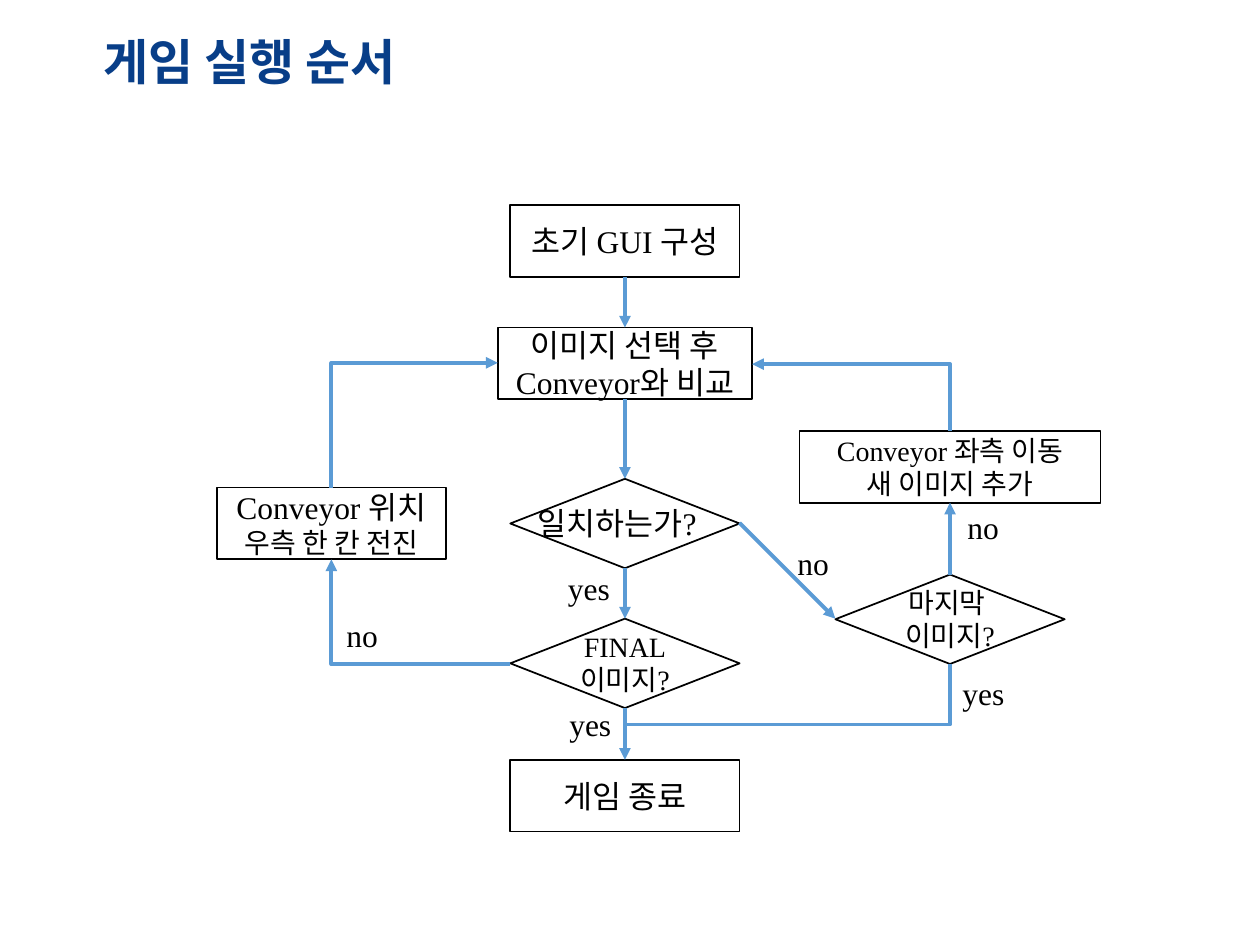
from pptx import Presentation
from pptx.dml.color import RGBColor
from pptx.enum.shapes import MSO_CONNECTOR, MSO_SHAPE
from pptx.enum.text import MSO_ANCHOR, MSO_AUTO_SIZE, PP_ALIGN
from pptx.oxml.ns import qn
from pptx.util import Inches, Pt
from lxml.etree import SubElement

NAVY = RGBColor(0x08, 0x3E, 0x88)
BLUE = RGBColor(0x5B, 0x9B, 0xD5)
BLACK = RGBColor(0, 0, 0)
FACE = "Times New Roman"

WIDE, TALL, DEEP = 1.82, 0.57, 0.71  # node width, box height, diamond height
MID, LEFT, RIGHT = 4.96, 2.63, 7.54  # column centres


class Flow:
    def __init__(self, slide):
        self.slide = slide
        self.shapes = slide.shapes

    def style(self, font, size, **more):
        form = {"name": FACE, "size": Pt(size), **more}
        color = form.pop("color", BLACK)
        for key, value in form.items():
            setattr(font, key, value)
        font.color.rgb = color

    def fill_text(self, frame, lines, align):
        """Fill one paragraph with (text, size) lines parted by line breaks."""
        para = frame.paragraphs[0]
        para.alignment = align
        for i, (text, size) in enumerate(lines):
            if i:
                para.add_line_break()
            run = para.add_run()
            run.text = text
            self.style(run.font, size)

    def title(self, text):
        head = self.shapes.title
        place = {"left": 0.72, "top": 0.1, "width": 8.47, "height": 0.83}
        for key, value in place.items():
            setattr(head, key, Inches(value))
        frame = head.text_frame
        frame.vertical_anchor = MSO_ANCHOR.MIDDLE
        frame.text = text
        para = frame.paragraphs[0]
        para.alignment = PP_ALIGN.LEFT
        para.line_spacing = 0.9
        self.style(para.runs[0].font, 28, bold=True, color=NAVY)

    def node(self, home, kind, mid, top, wide, tall):
        shape = home.add_shape(kind, Inches(mid - wide / 2), Inches(top),
                               Inches(wide), Inches(tall))
        shape.shadow.inherit = False
        shape.fill.background()
        shape.line.color.rgb = BLACK
        shape.line.width = Pt(1)
        return shape

    def box(self, mid, top, lines, wide=WIDE):
        shape = self.node(self.shapes, MSO_SHAPE.RECTANGLE, mid, top, wide, TALL)
        shape.text_frame.vertical_anchor = MSO_ANCHOR.MIDDLE
        self.fill_text(shape.text_frame, lines, PP_ALIGN.CENTER)

    def label(self, left, top, lines, wide, tall=0.4, home=None, align=PP_ALIGN.LEFT):
        text = (home or self.shapes).add_textbox(
            Inches(left), Inches(top), Inches(wide), Inches(tall))
        frame = text.text_frame
        frame.word_wrap = False
        frame.auto_size = MSO_AUTO_SIZE.SHAPE_TO_FIT_TEXT
        self.fill_text(frame, lines, align)

    def choice(self, mid, top, lines, wide, tall, align=PP_ALIGN.CENTER):
        home = self.shapes.add_group_shape().shapes
        self.node(home, MSO_SHAPE.FLOWCHART_DECISION, mid, top, WIDE, DEEP)
        self.label(mid - wide / 2, top + (DEEP - tall) / 2, lines, wide, tall,
                   home, align)

    def link(self, start, end, kind=MSO_CONNECTOR.STRAIGHT, arrow=True):
        points = [Inches(v) for v in (*start, *end)]
        line = self.shapes.add_connector(kind, *points)
        line.line.color.rgb = BLUE
        line.line.width = Pt(2.25)
        props = line._element.spPr
        SubElement(props, qn("a:effectLst"))
        if arrow:
            SubElement(props.find(qn("a:ln")), qn("a:tailEnd"), type="triangle")
        return line

    def bend(self, start, end, down=False, arrow=True):
        """Link with one corner; down means the vertical leg comes first."""
        if down:  # lay the line out a quarter turn back, then rotate it
            (x1, y1), (x2, y2) = start, end
            cx, cy = (x1 + x2) / 2, (y1 + y2) / 2
            dx, dy = (y2 - y1) / 2, (x1 - x2) / 2
            start, end = (cx - dx, cy - dy), (cx + dx, cy + dy)
        line = self.link(start, end, MSO_CONNECTOR.ELBOW, arrow)
        props = line._element.spPr
        props.find(qn("a:prstGeom")).set("prst", "bentConnector2")
        if down:
            props.find(qn("a:xfrm")).set("rot", "5400000")


def main():
    deck = Presentation()
    deck.slide_width, deck.slide_height = Inches(10), Inches(7.5)
    flow = Flow(deck.slides.add_slide(deck.slide_layouts[5]))
    flow.title("게임 실행 순서")

    flow.box(MID, 1.63, [("초기 GUI 구성", 18)])
    flow.box(MID, 2.6, [("이미지 선택 후", 18), ("Conveyor와 비교", 18)], 2.02)
    flow.choice(MID, 3.8, [("일치하는가?", 18)], 1.58, 0.4, PP_ALIGN.LEFT)
    flow.choice(MID, 4.91, [("FINAL", 16), ("이미지?", 16)], 0.98, 0.64)
    flow.choice(RIGHT, 4.56, [("마지막 ", 16), ("이미지?", 16)], 0.98, 0.64)
    flow.box(MID, 6.03, [("게임 종료", 18)])
    flow.box(LEFT, 3.87, [("Conveyor 위치", 18), ("우측 한 칸 전진", 16)])
    flow.box(RIGHT, 3.42, [("Conveyor 좌측 이동", 16), ("새 이미지 추가", 16)], 2.39)

    for top, end in ((2.2, 2.6), (3.17, 3.8), (4.51, 4.91), (5.62, 6.03)):
        flow.link((MID, top), (MID, end))
    flow.bend((4.05, 5.27), (LEFT, 4.44))
    flow.bend((LEFT, 3.87), (3.95, 2.88), down=True)
    flow.link((5.87, 4.15), (6.63, 4.91))
    flow.link((RIGHT, 4.56), (RIGHT, 3.99))
    flow.bend((RIGHT, 3.42), (5.97, 2.89), down=True)
    flow.bend((RIGHT, 5.27), (MID, 5.75), down=True, arrow=False)

    for left, top in ((4.41, 4.47), (7.54, 5.3), (4.42, 5.55)):
        flow.label(left, top, [("yes", 18)], 0.54)
    for left, top in ((7.58, 3.98), (2.65, 4.84), (6.23, 4.27)):
        flow.label(left, top, [("no", 18)], 0.45)

    deck.save("out.pptx")


if __name__ == "__main__":
    main()
